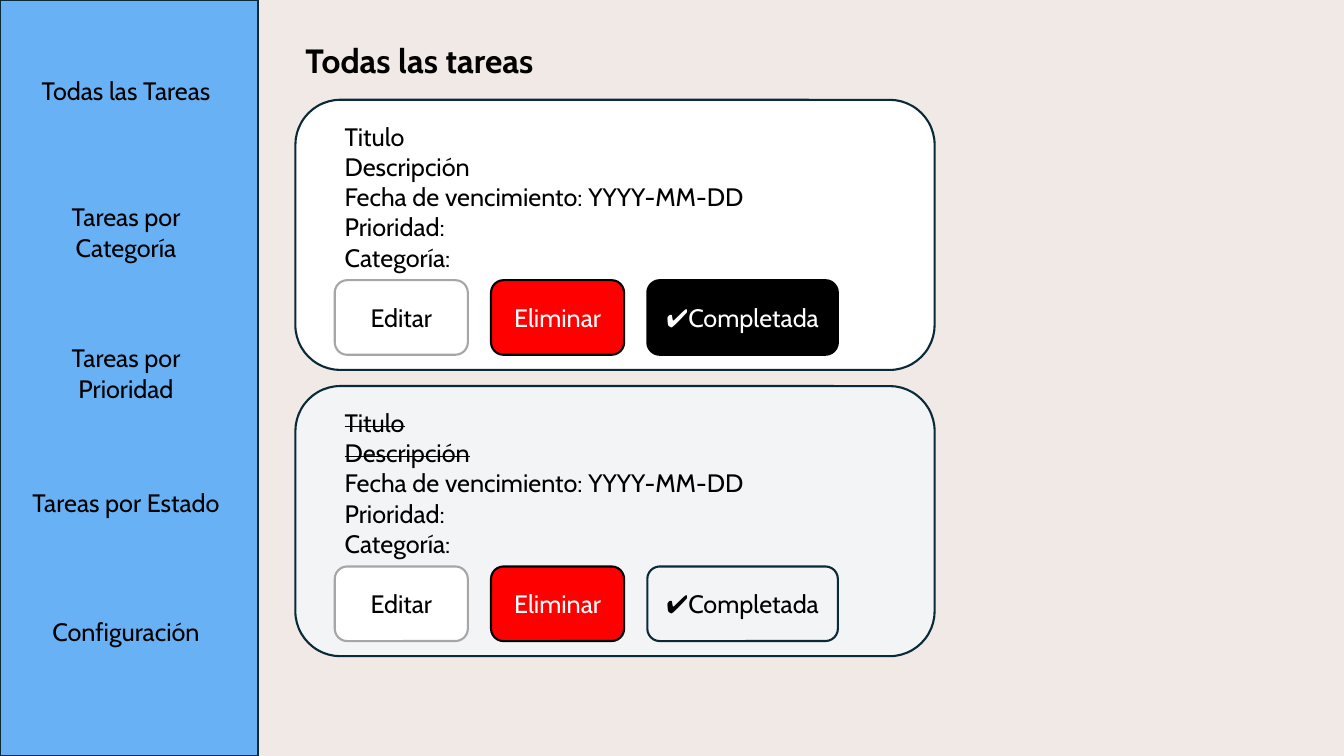
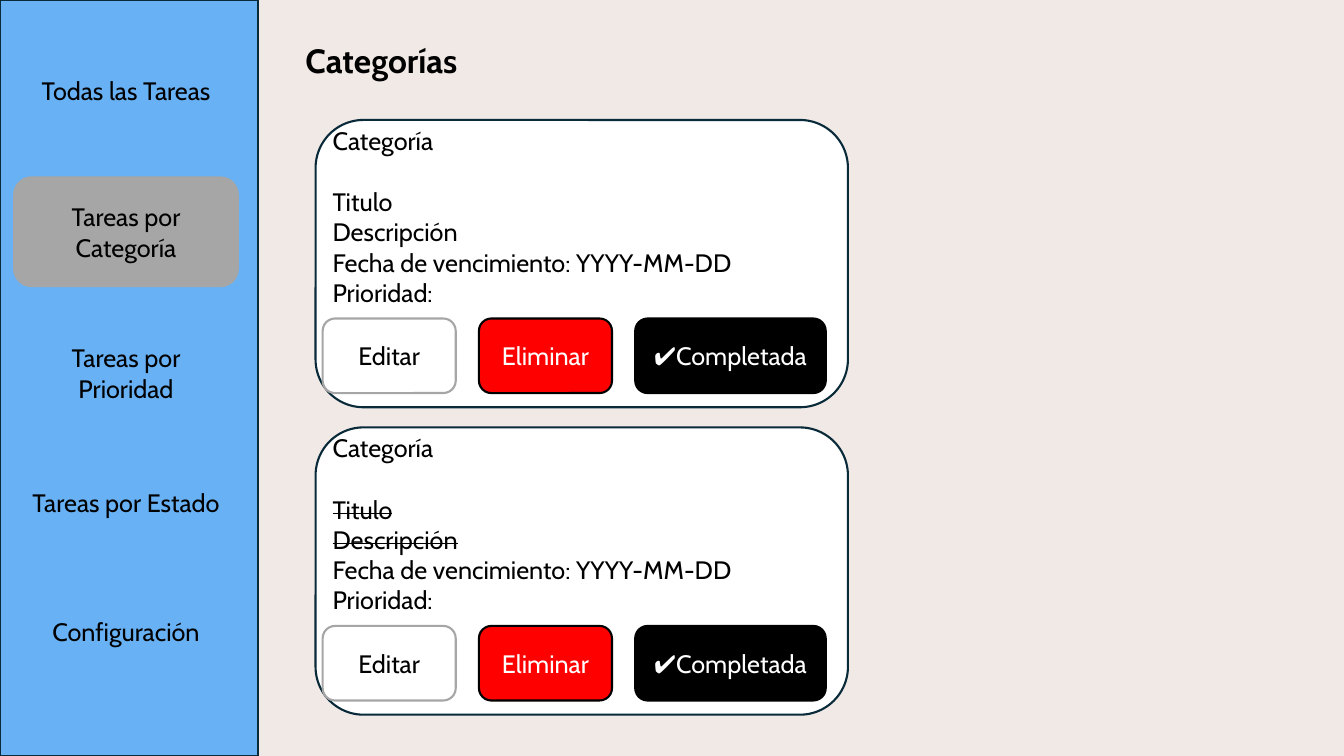
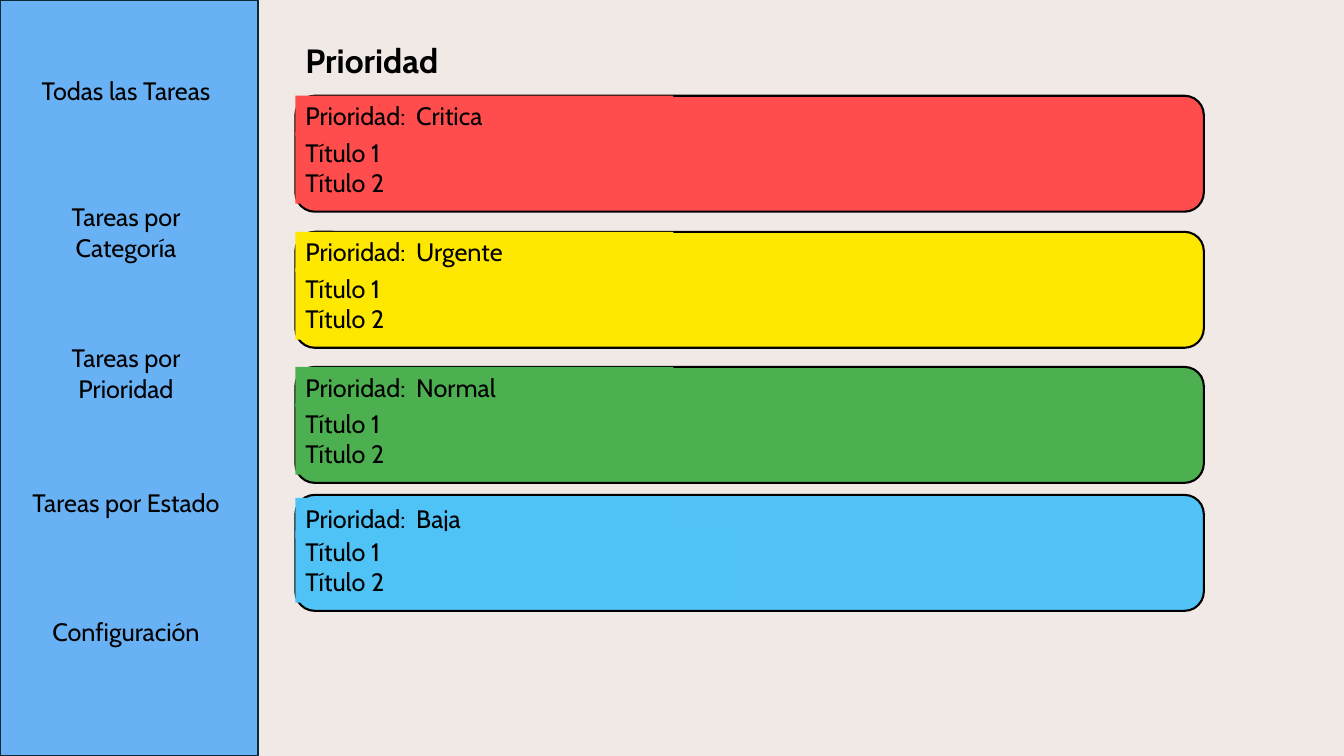
from dataclasses import dataclass

from lxml import etree
from pptx import Presentation
from pptx import util as u
from pptx.dml.color import RGBColor
from pptx.enum import shapes, text
from pptx.oxml import ns


@dataclass(frozen=True)
class Theme:
    font: str = "Cabin"
    title_size: int = 24
    text_size: int = 18
    border: float = 1.5
    page: str = "F1E9E6"
    sidebar: str = "68B1F4"
    outline: str = "092A39"
    grey: str = "A6A6A6"
    done: str = "F3F4F6"
    white: str = "FFFFFF"
    black: str = "000000"
    nav_text: str = "010101"
    delete: str = "FF0000"
    critical: str = "FF4C4C"
    urgent: str = "FFE800"
    normal: str = "4CAF50"
    low: str = "4FC3F7"


THEME = Theme()
ROUND = shapes.MSO_SHAPE.ROUNDED_RECTANGLE
RECT = shapes.MSO_SHAPE.RECTANGLE
LEFT, CENTER = text.PP_ALIGN.LEFT, text.PP_ALIGN.CENTER
TOP, MIDDLE = text.MSO_ANCHOR.TOP, text.MSO_ANCHOR.MIDDLE

NAVIGATION = [
    ("Todas las Tareas", 0.35),
    ("Tareas por Categoría", 1.75),
    ("Tareas por Prioridad", 3.15),
    ("Tareas por Estado", 4.43),
    ("Configuración", 5.71),
]
TASK_LINES = ["Titulo", "Descripción", "Fecha de vencimiento: YYYY-MM-DD", "Prioridad:"]
STRUCK_LINES = 2
BUTTON_GAP = 0.23
BUTTON_HEIGHT = 0.74
PRIORITIES = [
    ("Critica", THEME.critical, 0.95, 0, None),
    ("Urgente", THEME.urgent, 2.3, 0, None),
    ("Normal", THEME.normal, 3.64, 0, None),
    ("Baja", THEME.low, 4.91, 0.03, 98),
]


def inches(*lengths):
    return [u.Inches(length) for length in lengths]


def write(frame, lines, color=THEME.black, align=LEFT, anchor=TOP,
          size=THEME.text_size, bold=False, struck=0):
    frame.word_wrap = True
    frame.auto_size = text.MSO_AUTO_SIZE.NONE
    frame.vertical_anchor = anchor
    frame.text = "\n".join(lines)
    for index, paragraph in enumerate(frame.paragraphs):
        paragraph.alignment = align
        for run in paragraph.runs:
            run.font.name = THEME.font
            run.font.size = u.Pt(size)
            run.font.bold = bold
            run.font.color.rgb = RGBColor.from_string(color)
            if index < struck:
                run.font._element.set("strike", "sngStrike")


def add_panel(parent, kind, box, fill, line=None, opacity=None):
    panel = parent.shapes.add_shape(kind, *inches(*box))
    panel.shadow.inherit = False
    panel.fill.solid()
    panel.fill.fore_color.rgb = RGBColor.from_string(fill)
    if opacity:
        color = panel._element.spPr.find(ns.qn("a:solidFill")).find(ns.qn("a:srgbClr"))
        etree.SubElement(color, ns.qn("a:alpha")).set("val", str(opacity * 1000))
    if line:
        panel.line.color.rgb = RGBColor.from_string(line)
        panel.line.width = u.Pt(THEME.border)
    else:
        panel.line.fill.background()
    return panel


def add_button(parent, box, label, fill, line, color):
    button = add_panel(parent, ROUND, box, fill, line)
    write(button.text_frame, [label], color, CENTER, MIDDLE)


def add_lines(parent, box, lines, struck=0):
    note = parent.shapes.add_textbox(*inches(*box))
    write(note.text_frame, lines, struck=struck)


def add_task_buttons(card, left, top, completed_style):
    buttons = [
        ("Editar", 1.32, (THEME.white, THEME.grey, THEME.black)),
        ("Eliminar", 1.32, (THEME.delete, THEME.black, THEME.white)),
        ("✔Completada", 1.89, completed_style),
    ]
    for label, width, style in buttons:
        add_button(card, (left, top, width, BUTTON_HEIGHT), label, *style)
        left += width + BUTTON_GAP


def set_tab(paragraph, position):
    tabs = etree.SubElement(paragraph._p.get_or_add_pPr(), ns.qn("a:tabLst"))
    tab = etree.SubElement(tabs, ns.qn("a:tab"))
    tab.set("pos", str(u.Inches(position)))
    tab.set("algn", "l")


def add_sidebar(slide, active):
    sidebar = slide.shapes.add_group_shape()
    add_panel(sidebar, RECT, (0, 0, 2.56, 7.5), THEME.sidebar, THEME.outline)
    for label, top in NAVIGATION:
        fill = THEME.grey if label == active else THEME.sidebar
        add_button(sidebar, (0.13, top, 2.24, 1.1), label, fill, None, THEME.nav_text)


def add_page(prs, title, active=None):
    slide = prs.slides.add_slide(prs.slide_layouts[5])
    heading = slide.shapes.title
    heading.left, heading.top, heading.width, heading.height = inches(2.93, 0.35, 2.87, 0.5)
    write(heading.text_frame, [title], size=THEME.title_size, bold=True)
    add_sidebar(slide, active)
    return slide


def add_task_card(slide, top, fill, completed_style, struck):
    card = slide.shapes.add_group_shape()
    add_panel(card, ROUND, (2.93, top, 6.34, 2.68), fill, THEME.outline)
    add_lines(card, (3.32, top + 0.16, 4.76, 1.92), TASK_LINES + ["Categoría:"], struck)
    add_task_buttons(card, 3.32, top + 1.79, completed_style)


def add_category_card(slide, top, struck):
    card = slide.shapes.add_group_shape()
    add_panel(card, ROUND, (3.13, top, 5.28, 2.85), THEME.white, THEME.outline)
    add_lines(card, (3.2, top, 1.29, 0.4), ["Categoría"])
    add_lines(card, (3.2, top + 0.61, 4.76, 1.31), TASK_LINES, struck)
    add_task_buttons(card, 3.2, top + 1.97, (THEME.black, THEME.black, THEME.white))


def add_priority_band(slide, level, fill, top, label_drop, opacity):
    band = slide.shapes.add_group_shape()
    add_panel(band, ROUND, (2.93, top, 9.01, 1.15), fill, THEME.black, opacity)
    label = add_panel(band, RECT, (2.93, top + label_drop, 3.75, 0.4), fill, opacity=opacity)
    write(label.text_frame, [f"Prioridad:\t{level}"])
    set_tab(label.text_frame.paragraphs[0], 1.1)
    tasks = add_panel(band, RECT, (2.93, top + 0.36, 4.29, 0.71), fill, opacity=opacity)
    write(tasks.text_frame, ["Título 1", "Título 2"])


def main():
    prs = Presentation()
    prs.slide_width, prs.slide_height = inches(13.33, 7.5)
    backdrop = prs.slide_master.background.fill
    backdrop.solid()
    backdrop.fore_color.rgb = RGBColor.from_string(THEME.page)

    all_tasks = add_page(prs, "Todas las tareas")
    add_task_card(all_tasks, 0.99, THEME.white,
                  (THEME.black, THEME.black, THEME.white), 0)
    add_task_card(all_tasks, 3.83, THEME.done,
                  (THEME.done, THEME.outline, THEME.black), STRUCK_LINES)

    categories = add_page(prs, "Categorías", "Tareas por Categoría")
    for top, struck in [(1.19, 0), (4.24, STRUCK_LINES)]:
        add_category_card(categories, top, struck)

    priorities = add_page(prs, "Prioridad")
    for priority in PRIORITIES:
        add_priority_band(priorities, *priority)

    prs.save("out.pptx")


if __name__ == "__main__":
    main()
